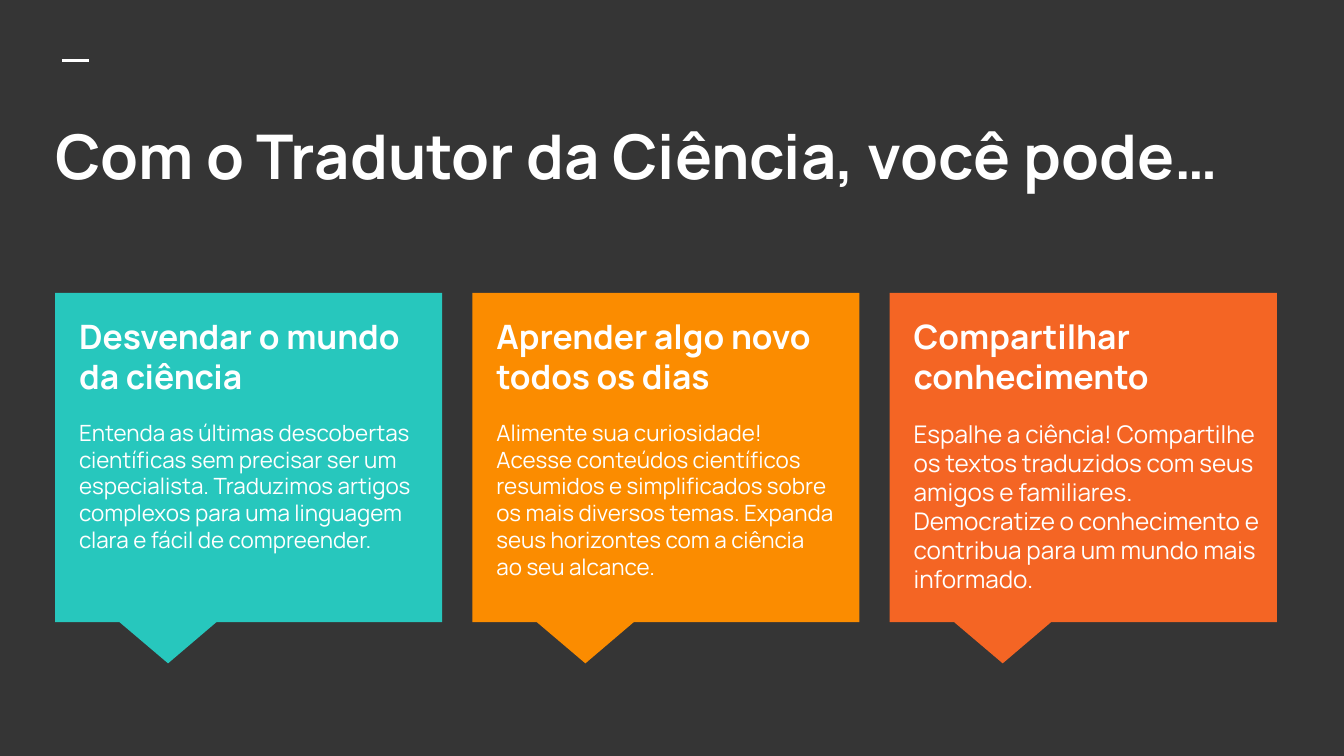
from pptx import Presentation, util as u
from pptx.dml.color import RGBColor
from pptx.enum import shapes, text
from pptx.oxml.ns import qn
from lxml import etree

FONT, WHITE, DARK = "Manrope", "FFFFFF", "353535"
HEADLINE = "Com o Tradutor da Ciência, você pode…"
BENEFITS = [
    dict(color="27C7BD", heading="Desvendar o mundo da ciência", size=12, width=2.71,
         detail="Entenda as últimas descobertas científicas sem precisar ser um "
                "especialista. Traduzimos artigos complexos para uma linguagem "
                "clara e fácil de compreender."),
    dict(color="FB8C00", heading="Aprender algo novo todos os dias", size=12, width=2.71,
         detail="Alimente sua curiosidade! Acesse conteúdos científicos resumidos "
                "e simplificados sobre os mais diversos temas. Expanda seus "
                "horizontes com a ciência ao seu alcance."),
    dict(color="F46524", heading="Compartilhar conhecimento", size=13, width=2.88,
         detail="Espalhe a ciência! Compartilhe os textos traduzidos com seus "
                "amigos e familiares. Democratize o conhecimento e contribua para "
                "um mundo mais informado."),
]
LEFT, RIGHT, TOP, CARD_W, CARD_H = 0.41, 9.5, 2.18, 2.88, 2.45
STEP = (RIGHT - LEFT - CARD_W) / (len(BENEFITS) - 1)
INSET_X, INSET_Y, TEXT_H = 0.08, 0.07, 2.19


def rgb(value):
    return RGBColor.from_string(value)


def box(*lengths):
    return [u.Inches(length) for length in lengths]


def prepare(frame):
    frame.word_wrap = True
    frame.auto_size = text.MSO_AUTO_SIZE.NONE
    frame.vertical_anchor = text.MSO_ANCHOR.TOP
    frame.margin_left = frame.margin_right = u.Inches(0.1)
    frame.margin_top = frame.margin_bottom = u.Inches(0.1)
    return frame


def write(paragraph, words, size, bold=False, space=0):
    paragraph.alignment = text.PP_ALIGN.LEFT
    paragraph.line_spacing = 1.0
    paragraph.space_before = paragraph.space_after = u.Pt(space)
    run = paragraph.add_run()
    run.text = words
    run.font.name, run.font.size, run.font.bold = FONT, u.Pt(size), bold
    run.font.color.rgb = rgb(WHITE)


def add_benefit(slide, column, benefit):
    left = LEFT + column * STEP
    card = slide.shapes.add_shape(shapes.MSO_SHAPE.RECTANGULAR_CALLOUT,
                                  *box(left, TOP, CARD_W, CARD_H))
    card.adjustments[0], card.adjustments[1] = -0.208, 0.625
    card.shadow.inherit = False
    card.fill.solid()
    card.fill.fore_color.rgb = rgb(benefit["color"])
    card.line.fill.background()

    message = prepare(slide.shapes.add_textbox(
        *box(left + INSET_X, TOP + INSET_Y, benefit["width"], TEXT_H)).text_frame)
    write(message.paragraphs[0], benefit["heading"], 18, bold=True)
    write(message.add_paragraph(), benefit["detail"], benefit["size"], space=12)


def main():
    deck = Presentation()
    deck.slide_width, deck.slide_height = box(10, 5.625)
    slide = deck.slides.add_slide(deck.slide_layouts[5])
    slide.background.fill.solid()
    slide.background.fill.fore_color.rgb = rgb(DARK)

    accent = slide.shapes.add_connector(shapes.MSO_CONNECTOR.STRAIGHT,
                                        *box(0.46, 0.45, 0.66, 0.45))
    accent.line.color.rgb = rgb(WHITE)
    accent.line.width = u.Pt(1.5)
    etree.SubElement(accent._element.spPr, qn("a:effectLst"))

    headline = slide.shapes.title
    headline.left, headline.top, headline.width, headline.height = box(0.31, 0.78, 9.62, 1.12)
    write(prepare(headline.text_frame).paragraphs[0], HEADLINE, 33, bold=True)

    for column, benefit in enumerate(BENEFITS):
        add_benefit(slide, column, benefit)
    deck.save("out.pptx")


if __name__ == "__main__":
    main()
